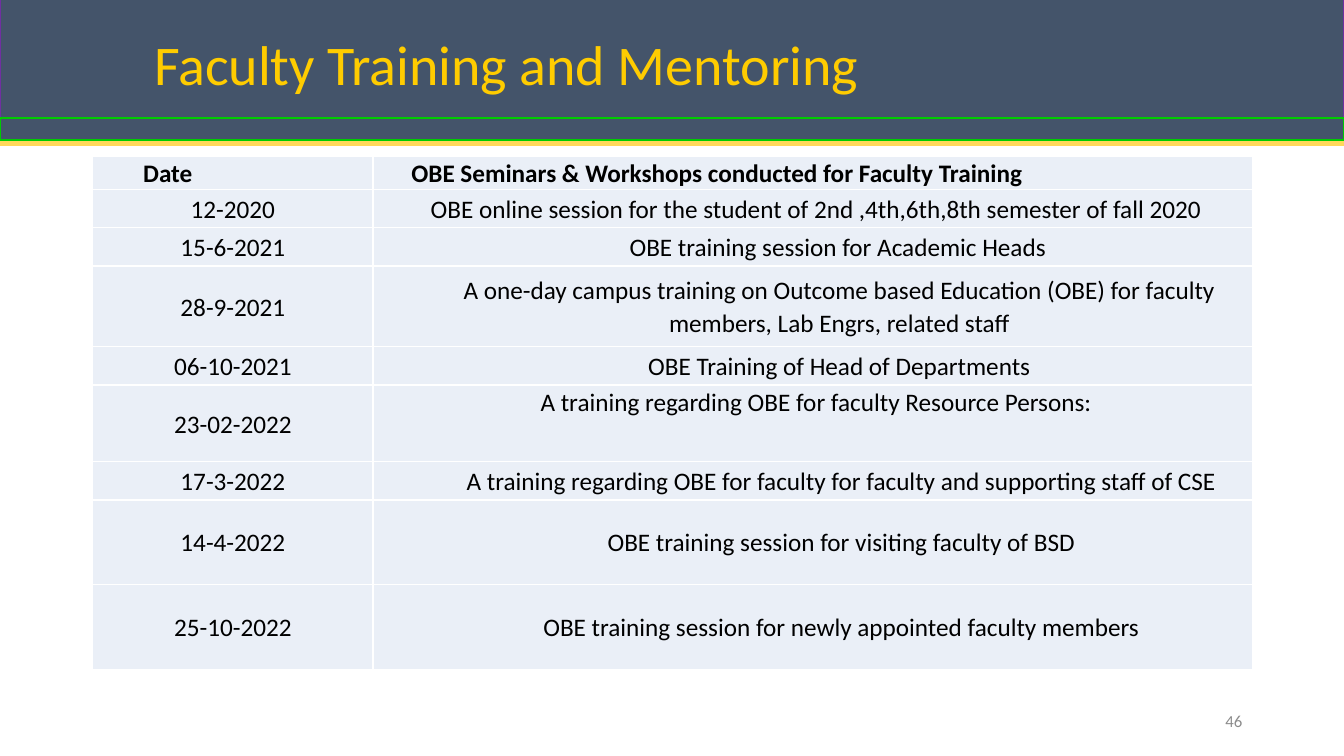
from lxml import etree
from pptx import Presentation
from pptx import util as u
from pptx.dml.color import RGBColor
from pptx.enum import shapes, text
from pptx.oxml import ns

WIDTH, HEIGHT = 13.33, 7.5
FONT = "Calibri"
COLORS = {
    "slate": "44546A", "purple": "7030A0", "green": "00CC00", "gold": "FFD85B",
    "title": "FFCC00", "cell": "EAEFF7", "border": "FFFFFF", "black": "000000", "gray": "8C8C8C",
}
TITLE = "Faculty Training and Mentoring"
PAGE_NUMBER = "46"
BANDS = [
    ((0, -0.01, WIDTH, 1.2), "purple"),
    ((0, 1.17, WIDTH, 0.22), "green"),
]
RULE_TOP = 1.42
TABLE_LEFT, TABLE_TOP = 0.92, 1.55
COLUMN_WIDTHS = [2.78, 8.72]
HEADER = ("Date", "OBE Seminars & Workshops conducted for Faculty Training")
HEADER_INDENTS = (0.5, 0.38)
HEADER_HEIGHT = 0.33
SINGLE, DOUBLE, TALL = 0.38, 0.8, 0.84
MIDDLE, TOP = text.MSO_ANCHOR.MIDDLE, text.MSO_ANCHOR.TOP
SESSIONS = [
    ("12-2020", "OBE online session for the student of 2nd ,4th,6th,8th semester of fall 2020", 0.07, SINGLE, MIDDLE),
    ("15-6-2021", "OBE training session for Academic Heads", 0.5, SINGLE, MIDDLE),
    ("28-9-2021", "A one-day campus training on Outcome based Education (OBE) for faculty members, "
     "Lab Engrs, related staff", 0.53, DOUBLE, MIDDLE),
    ("06-10-2021", "OBE Training of Head of Departments", 0.53, SINGLE, MIDDLE),
    ("23-02-2022", "A training regarding OBE for faculty Resource Persons:", 0.07, 2 * SINGLE, TOP),
    ("17-3-2022", "A training regarding OBE for faculty for faculty and supporting staff of CSE", 0.57, SINGLE, MIDDLE),
    ("14-4-2022", "OBE training session for visiting faculty of BSD", 0.57, TALL, MIDDLE),
    ("25-10-2022", "OBE training session for newly appointed faculty members", 0.57, TALL, MIDDLE),
]


def color(name):
    return RGBColor.from_string(COLORS[name])


def inches(*lengths):
    return [u.Inches(length) for length in lengths]


def write(paragraph, words, size, ink, align, bold=False):
    paragraph.alignment = align
    run = paragraph.add_run()
    run.text = words
    run.font.name = FONT
    run.font.size = u.Pt(size)
    run.font.bold = bold
    run.font.color.rgb = color(ink)


def add_label(slide, box, words, size, ink, align):
    frame = slide.shapes.add_textbox(*inches(*box)).text_frame
    frame.word_wrap = True
    frame.vertical_anchor = MIDDLE
    write(frame.paragraphs[0], words, size, ink, align)
    return frame.paragraphs[0]


def add_header_bands(slide):
    rule = slide.shapes.add_connector(
        shapes.MSO_CONNECTOR.STRAIGHT, *inches(0, RULE_TOP, WIDTH, RULE_TOP))
    rule.line.color.rgb = color("gold")
    rule.line.width = u.Pt(3.75)
    etree.SubElement(rule._element.spPr, ns.qn("a:effectLst"))
    for box, outline in BANDS:
        band = slide.shapes.add_shape(shapes.MSO_SHAPE.RECTANGLE, *inches(*box))
        band.shadow.inherit = False
        band.fill.solid()
        band.fill.fore_color.rgb = color("slate")
        band.line.color.rgb = color(outline)
        band.line.width = u.Pt(1)


def fill_cell(cell, words, indent, anchor, align, bold):
    properties = cell._tc.get_or_add_tcPr()
    for side in ("lnL", "lnR", "lnT", "lnB"):
        border = etree.SubElement(properties, ns.qn("a:" + side), w=str(u.Pt(1)))
        solid = etree.SubElement(border, ns.qn("a:solidFill"))
        etree.SubElement(solid, ns.qn("a:srgbClr"), val=COLORS["border"])
    cell.fill.solid()
    cell.fill.fore_color.rgb = color("cell")
    cell.margin_left = cell.margin_right = cell.margin_top = cell.margin_bottom = 0
    cell.vertical_anchor = anchor
    paragraph = cell.text_frame.paragraphs[0]
    paragraph_properties = paragraph._p.get_or_add_pPr()
    paragraph_properties.set("marL", str(u.Inches(indent)))
    paragraph_properties.set("indent", "0")
    paragraph.line_spacing = 1.07
    paragraph.space_after = u.Pt(8)
    write(paragraph, words, 18, "black", align, bold)


def add_sessions_table(slide):
    heights = [HEADER_HEIGHT] + [session[3] for session in SESSIONS]
    table = slide.shapes.add_table(
        len(heights), len(COLUMN_WIDTHS),
        *inches(TABLE_LEFT, TABLE_TOP, sum(COLUMN_WIDTHS), sum(heights))).table
    table.first_row = table.horz_banding = False
    for column, width in zip(table.columns, COLUMN_WIDTHS):
        column.width = u.Inches(width)
    for row, height in zip(table.rows, heights):
        row.height = u.Inches(height)
    for index, (words, indent) in enumerate(zip(HEADER, HEADER_INDENTS)):
        fill_cell(table.cell(0, index), words, indent, MIDDLE, text.PP_ALIGN.LEFT, True)
    for index, (date, topic, indent, height, anchor) in enumerate(SESSIONS, 1):
        fill_cell(table.cell(index, 0), date, 0, MIDDLE, text.PP_ALIGN.CENTER, False)
        fill_cell(table.cell(index, 1), topic, indent, anchor, text.PP_ALIGN.CENTER, False)


def main():
    presentation = Presentation()
    presentation.slide_width, presentation.slide_height = inches(WIDTH, HEIGHT)
    slide = presentation.slides.add_slide(presentation.slide_layouts[6])
    add_label(slide, (9.42, 6.95, 3, 0.4), PAGE_NUMBER, 12, "gray", text.PP_ALIGN.RIGHT)
    add_header_bands(slide)
    title = add_label(slide, (1.43, 0.14, 10.73, 1.06), TITLE, 40, "title", text.PP_ALIGN.LEFT)
    title.line_spacing = 0.9
    add_sessions_table(slide)
    presentation.save("out.pptx")


if __name__ == "__main__":
    main()
